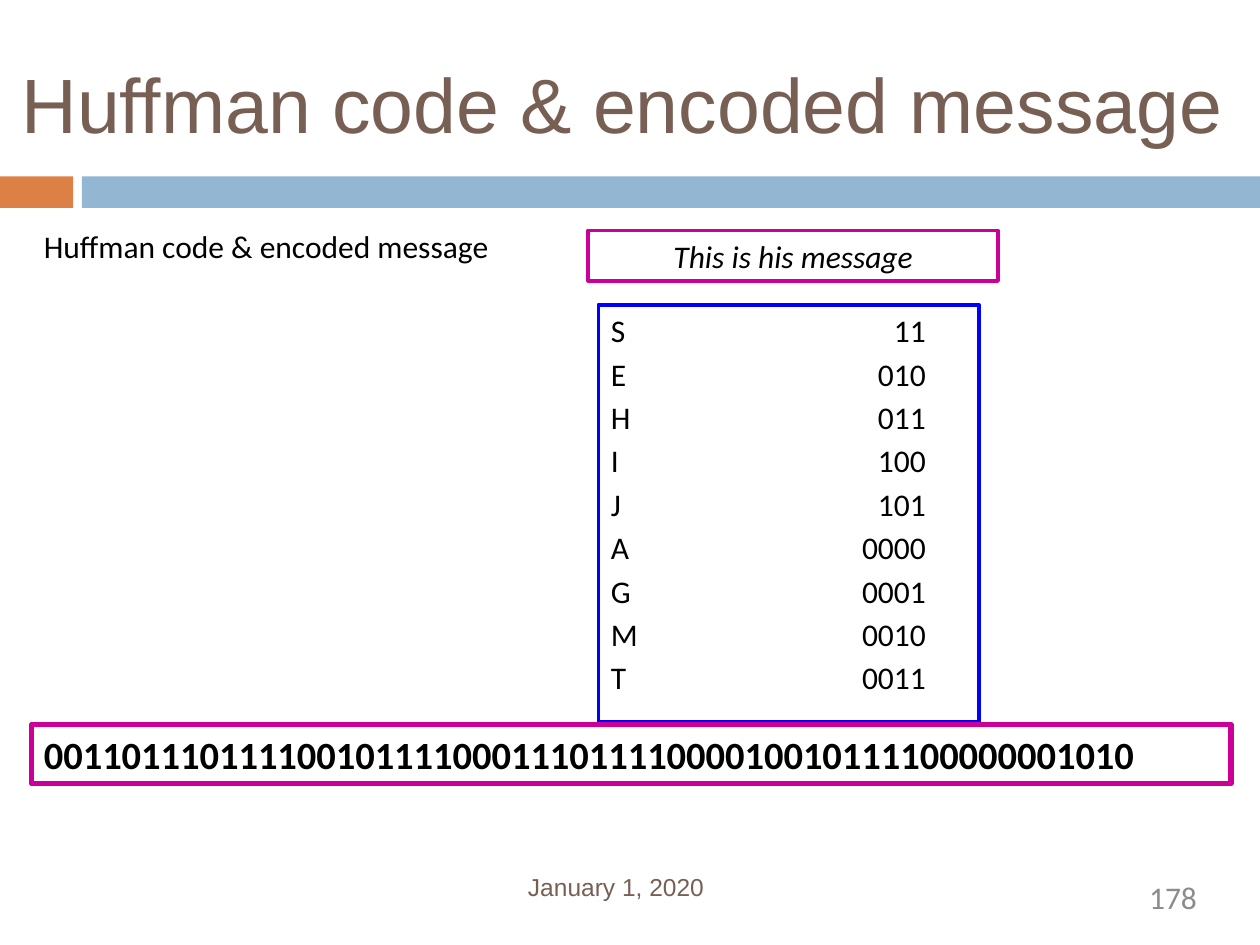
"""Build the slide on a Huffman code and its encoded message."""
from lxml import etree
from pptx import Presentation
from pptx.dml.color import RGBColor
from pptx.enum.shapes import MSO_SHAPE
from pptx.enum.text import MSO_ANCHOR, PP_ALIGN
from pptx.oxml.ns import qn
from pptx.util import Inches, Pt

RECT = MSO_SHAPE.RECTANGLE
TOP = MSO_ANCHOR.TOP
LEFT, CENTER, RIGHT = PP_ALIGN.LEFT, PP_ALIGN.CENTER, PP_ALIGN.RIGHT

TITLE = "Huffman code & encoded message"
MESSAGE = "This is his message"
ENCODED = "00110111011110010111100011101111000010010111100000001010"
CODES = [
    ("S", "11"), ("E", "010"), ("H", "011"), ("I", "100"), ("J", "101"),
    ("A", "0000"), ("G", "0001"), ("M", "0010"), ("T", "0011"),
]
DATE = "January 1, 2020"
NUMBER = "178"

THEME = {
    "head_font": "Arial", "body_font": "Calibri",
    "title": 44, "bits": 22, "body": 18, "date": 14,
    "brown": "775F54", "orange": "DD8046", "sky": "93B6D2",
    "blue": "0000FF", "magenta": "CC0099", "black": "000000", "gray": "8C8C8C",
}
BARS = [(0, 0.58, "orange"), (0.65, 9.35, "sky")]
BAR_TOP, BAR_HEIGHT = 1.4, 0.25
CODE_TAB = 2.5
INSET = (0.1, 0.05, 0.1, 0.05)


def write(s, text, size="body", color="black", font="body_font", bold=False,
          italic=False, align=LEFT, before=0, inset=INSET, tab=None):
    tf = s.text_frame
    tf.word_wrap = True
    tf.vertical_anchor = TOP
    tf.margin_left, tf.margin_top, tf.margin_right, tf.margin_bottom = map(Inches, inset)
    for i, line in enumerate(text.split("\n")):
        p = tf.paragraphs[0] if i == 0 else tf.add_paragraph()
        p.alignment = align
        p.space_before = Pt(before)
        if tab:
            tabs = etree.SubElement(p._p.get_or_add_pPr(), qn("a:tabLst"))
            etree.SubElement(tabs, qn("a:tab"), pos=str(Inches(tab)), algn="r")
        r = p.add_run()
        r.text = line
        r.font.name = THEME[font]
        r.font.size = Pt(THEME[size])
        r.font.color.rgb = RGBColor.from_string(THEME[color])
        r.font.bold, r.font.italic = bold, italic


def add_rect(slide, box, fill=None, line=None, width=2.25):
    s = slide.shapes.add_shape(RECT, *map(Inches, box))
    s.shadow.inherit = False
    if fill:
        s.fill.solid()
        s.fill.fore_color.rgb = RGBColor.from_string(THEME[fill])
    else:
        s.fill.background()
    if line:
        s.line.color.rgb = RGBColor.from_string(THEME[line])
        s.line.width = Pt(width)
    else:
        s.line.fill.background()
    return s


def add_text(slide, box, text, **fmt):
    write(slide.shapes.add_textbox(*map(Inches, box)), text, **fmt)


def main():
    prs = Presentation()
    prs.slide_width, prs.slide_height = Inches(10), Inches(7.5)
    slide = prs.slides.add_slide(prs.slide_layouts[5])

    for left, width, fill in BARS:
        add_rect(slide, (left, BAR_TOP, width, BAR_HEIGHT), fill=fill)

    title = slide.shapes.title
    title.left, title.top, title.width, title.height = map(Inches, (0.17, 0.38, 9.67, 2.22))
    write(title, TITLE, size="title", color="brown", font="head_font", inset=(0, 0.07, 0, 0))

    add_text(slide, (4.19, 6.92, 2.32, 0.24), DATE, size="date", color="brown",
             font="head_font", inset=(0, 0, 0, 0))
    add_text(slide, (7.2, 6.97, 2.3, 0.38), NUMBER, color="gray", align=RIGHT, inset=(0, 0, 0, 0))
    add_text(slide, (0.25, 1.75, 6.2, 0.4), TITLE)

    codes = add_rect(slide, (4.75, 2.42, 3.02, 3.31), line="blue")
    write(codes, "\n".join(f"{letter}\t{code}" for letter, code in CODES),
          before=3.2, tab=CODE_TAB)
    message = add_rect(slide, (4.67, 1.83, 3.25, 0.4), line="magenta")
    write(message, MESSAGE, italic=True, align=CENTER)
    encoded = add_rect(slide, (0.25, 5.75, 9.52, 0.47), line="magenta", width=3)
    write(encoded, ENCODED, size="bits", bold=True)

    prs.save("out.pptx")


if __name__ == "__main__":
    main()
